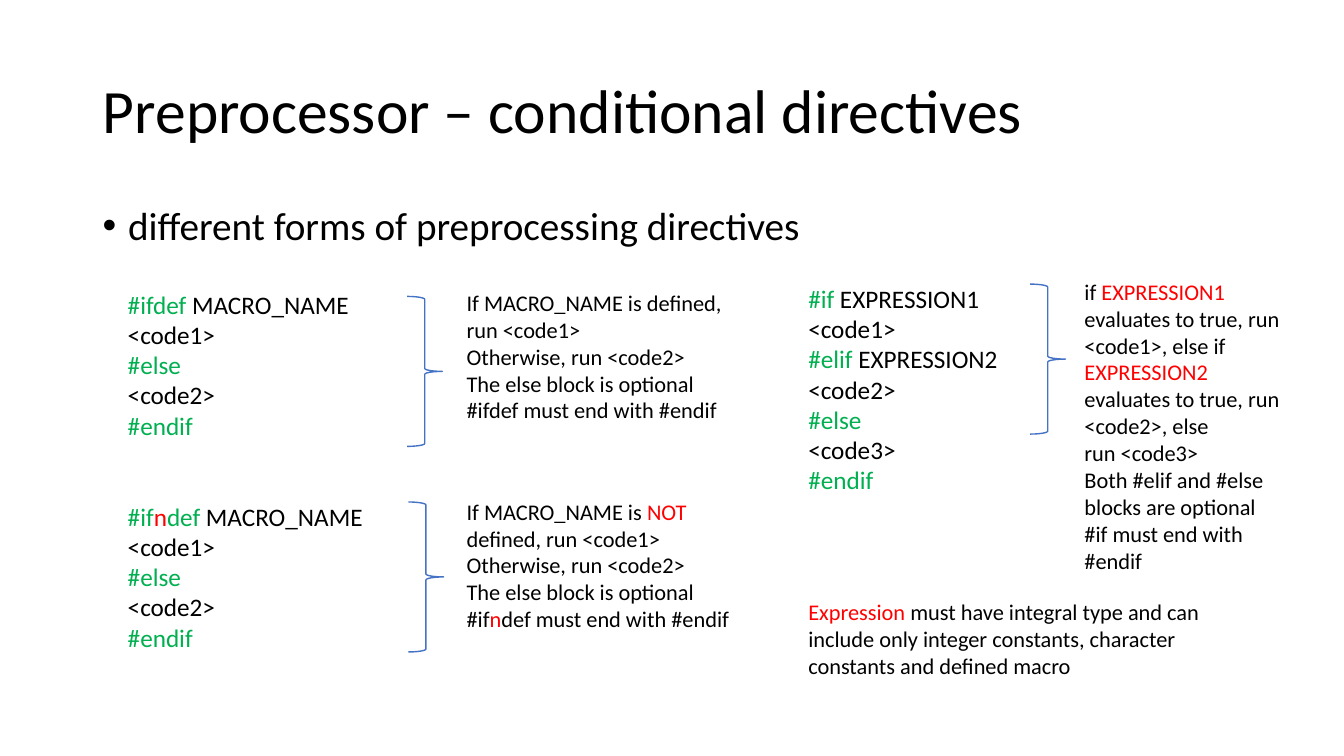
from lxml.etree import SubElement
from pptx import Presentation
from pptx.dml.color import RGBColor as Rgb
from pptx.enum.shapes import MSO_SHAPE as Kind
from pptx.enum.text import MSO_ANCHOR as Anchor, MSO_AUTO_SIZE as Auto, PP_ALIGN as Align
from pptx.oxml.ns import qn
from pptx.util import Cm, Pt

BLACK, GREEN, RED, BLUE = "000000", "00B050", "FF0000", "4472C4"
MARKS = {"+": GREEN, "!": RED}

IFDEF = ["+#ifdef |MACRO_NAME", "<code1>", "+#else", "<code2>", "+#endif"]
IFNDEF = ["+#if|!n|+def |MACRO_NAME"] + IFDEF[1:]
IFELIF = ["+#if |EXPRESSION1", "<code1>", "+#elif |EXPRESSION2", "<code2>",
          "+#else", "<code3>", "+#endif"]
REST = ["Otherwise, run <code2>", "The else block is optional"]
DEFINED = ["If MACRO_NAME is defined, run <code1>", *REST,
           "#ifdef must end with #endif"]
MISSING = ["If MACRO_NAME is |!NOT| defined, run <code1>", *REST,
           "#if|!n|def must end with #endif"]
CHOICE = ["if |!EXPRESSION1| evaluates to true, run <code1>, else if "
          "|!EXPRESSION2| evaluates to true, run <code2>, else",
          "run <code3>", "Both #elif and #else blocks are optional",
          "#if must end with #endif"]
LIMIT = ["!Expression| must have integral type and can include only integer "
         "constants, character constants and defined macro"]


def paint(color, code):
    color.rgb = Rgb.from_string(code)


def style(run, size, code=BLACK):
    run.font.name = "Calibri"
    run.font.size = Pt(size)
    paint(run.font.color, code)


def place(shape, box):
    shape.left, shape.top, shape.width, shape.height = map(Cm, box)


def head(slide, text):
    title = slide.shapes.title
    place(title, (2.34, 1.02, 29.21, 3.68))
    frame = title.text_frame
    frame.text = text
    frame.vertical_anchor = Anchor.MIDDLE
    frame.auto_size = Auto.NONE
    line = frame.paragraphs[0]
    line.alignment = Align.LEFT
    line.line_spacing = 0.9
    style(line.runs[0], 44)


def write(slide, box, lines, size):
    frame = slide.shapes.add_textbox(*map(Cm, box)).text_frame
    frame.word_wrap = True
    frame.text = "\n".join(lines)
    for para, line in zip(frame.paragraphs, lines):
        para.text = ""
        for piece in line.split("|"):
            run = para.add_run()
            run.text = piece.lstrip("+!")
            style(run, size, MARKS.get(piece[0], BLACK))
    return frame


def bullet(slide, text):
    para = write(slide, (2.34, 5.08, 29.21, 1.93), [text], 28).paragraphs[0]
    para.line_spacing = 0.9
    para.space_before = Pt(10)
    props = para._p.get_or_add_pPr()
    props.set("marL", str(Cm(0.64)))
    props.set("indent", str(Cm(-0.64)))
    SubElement(props, qn("a:buFont"), typeface="Arial")
    SubElement(props, qn("a:buChar"), char="•")


def brace(slide, left, top):
    shape = slide.shapes.add_shape(
        Kind.RIGHT_BRACE, *map(Cm, (left, top, 0.89, 3.78)))
    shape.shadow.inherit = False
    shape.fill.background()
    paint(shape.line.color, BLUE)
    shape.line.width = Pt(1)


def main():
    deck = Presentation()
    deck.slide_width, deck.slide_height = Cm(33.87), Cm(19.05)
    slide = deck.slides.add_slide(deck.slide_layouts[5])
    head(slide, "Preprocessor – conditional directives")
    bullet(slide, "different forms of preprocessing directives")
    forms = [
        ((2.97, 7.16, 6.17, 4.11), IFDEF, (10.26, 7.47),
         (11.51, 7.16, 7.37, 3.68), DEFINED),
        ((2.97, 12.5, 7.06, 4.11), IFNDEF, (10.29, 12.65),
         (11.51, 12.42, 7.37, 3.68), MISSING),
        ((20.12, 7.01, 5.49, 5.64), IFELIF, (25.96, 7.16),
         (27.08, 6.88, 5.49, 7.95), CHOICE),
    ]
    for area, code, spot, side, note in forms:
        write(slide, area, code, 18)
        brace(slide, *spot)
        write(slide, side, note, 16)
    write(slide, (20.12, 14.96, 10.57, 2.31), LIMIT, 16)
    deck.save("out.pptx")


if __name__ == "__main__":
    main()
